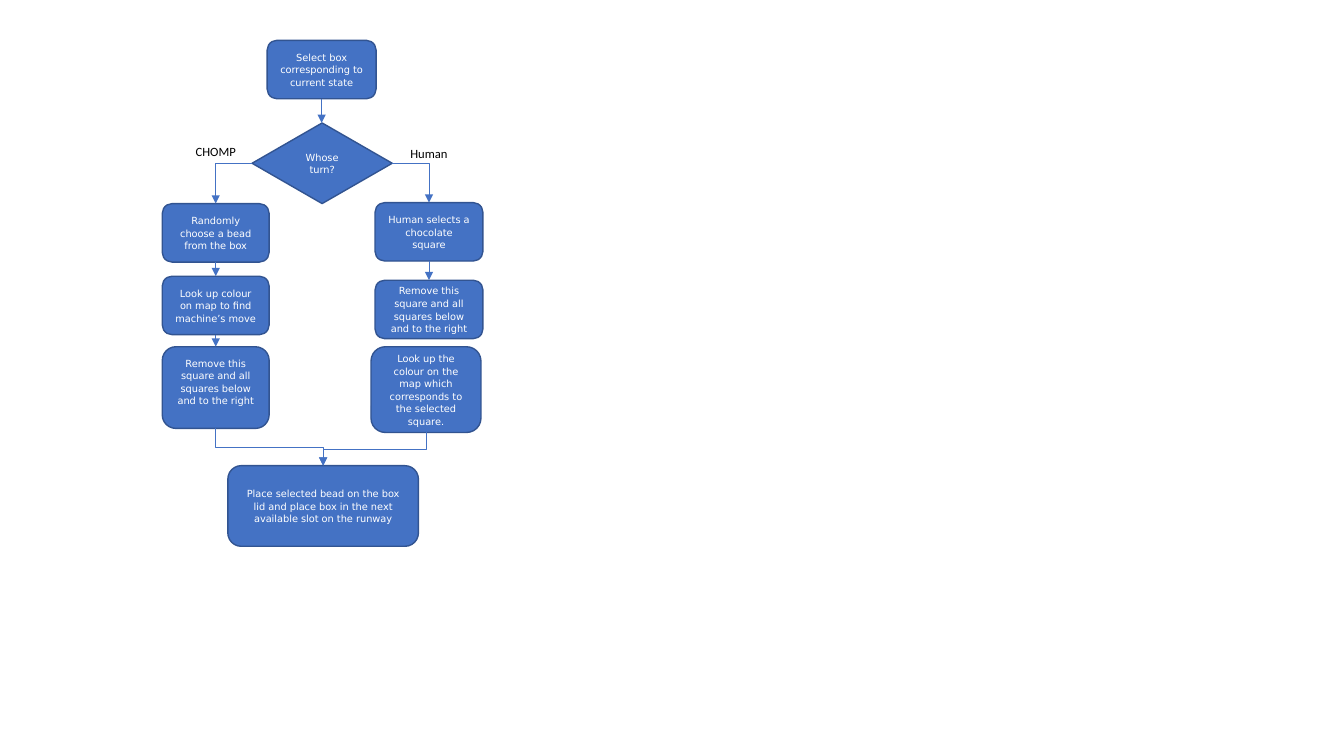
from lxml import etree
from pptx import Presentation
from pptx.dml.color import RGBColor
from pptx.enum.shapes import MSO_CONNECTOR, MSO_SHAPE
from pptx.enum.text import MSO_ANCHOR, PP_ALIGN
from pptx.oxml.ns import qn
from pptx.util import Inches, Pt

PROCESS = MSO_SHAPE.FLOWCHART_ALTERNATE_PROCESS
DECISION = MSO_SHAPE.FLOWCHART_DECISION
STRAIGHT, ELBOW = MSO_CONNECTOR.STRAIGHT, MSO_CONNECTOR.ELBOW
CENTER, MIDDLE = PP_ALIGN.CENTER, MSO_ANCHOR.MIDDLE

COLORS = {"fill": "4472C4", "border": "325491", "box_text": "FFFFFF", "label": "000000"}
BOX_FONT, LABEL_FONT = "DejaVu Sans", "Calibri"

# name: (shape, left, top, width, height, text)
STEPS = {
    "human_select": (PROCESS, 3.72, 2.01, 1.07, 0.58, "Human selects a chocolate square"),
    "choose_bead": (PROCESS, 1.61, 2.02, 1.06, 0.58, "Randomly choose a bead from the box"),
    "turn": (DECISION, 2.5, 1.22, 1.39, 0.8, "Whose turn?"),
    "select_box": (PROCESS, 2.65, 0.4, 1.08, 0.58, "Select box corresponding to current state"),
    "find_move": (PROCESS, 1.61, 2.74, 1.06, 0.58, "Look up colour on map to find machine’s move"),
    "machine_remove": (PROCESS, 1.61, 3.44, 1.06, 0.81,
                       "Remove this square and all squares below and to the right"),
    "place_bead": (PROCESS, 2.26, 4.62, 1.89, 0.8,
                   "Place selected bead on the box lid and place box in the next "
                   "available slot on the runway"),
    "human_remove": (PROCESS, 3.72, 2.78, 1.07, 0.58,
                     "Remove this square and all squares below and to the right"),
    "find_colour": (PROCESS, 3.68, 3.44, 1.09, 0.85,
                    "Look up the colour on the map which corresponds to the selected square."),
}
DOWN = [("select_box", "turn"), ("human_select", "human_remove"),
        ("choose_bead", "find_move"), ("find_move", "machine_remove")]
BRANCHES = [("turn", "human_select"), ("turn", "choose_bead")]
MERGES = [("find_colour", "place_bead"), ("machine_remove", "place_bead")]
LABELS = [("Human", 3.97, 1.4, 0.57, 0.25), ("CHOMP", 1.77, 1.38, 0.74, 0.25)]
BOTTOM_INSETS = {"machine_remove": 0.17}


def color(name):
    """Return the named colour."""
    return RGBColor.from_string(COLORS[name])


def write(tf, text, font, size, color_name):
    """Put one centred paragraph in a text frame and return it."""
    tf.text = text
    p = tf.paragraphs[0]
    p.alignment = CENTER
    f = p.runs[0].font
    f.name, f.size = font, Pt(size)
    f.color.rgb = color(color_name)
    return p


def add_step(name):
    """Draw one flowchart step."""
    kind, *box, text = STEPS[name]
    sp = s.shapes.add_shape(kind, *map(Inches, box))
    sp.shadow.inherit = False
    sp.fill.solid()
    sp.fill.fore_color.rgb = color("fill")
    sp.line.color.rgb = color("border")
    sp.line.width = Pt(1)
    tf = sp.text_frame
    tf.word_wrap = True
    tf.vertical_anchor = MIDDLE
    tf.margin_bottom = Inches(BOTTOM_INSETS.get(name, 0.05))
    p = write(tf, text, BOX_FONT, 7, "box_text")
    p.line_spacing = 1.07
    p.space_after = Pt(8)


def add_label(text, *box):
    """Write the name of a branch."""
    tf = s.shapes.add_textbox(*map(Inches, box)).text_frame
    tf.word_wrap = False
    write(tf, text, LABEL_FONT, 9, "label")


def add_arrow(kind, x1, y1, x2, y2):
    """Draw a thin connector with an arrowhead and return its properties."""
    c = s.shapes.add_connector(kind, *map(Inches, (x1, y1, x2, y2)))
    c.line.color.rgb = color("fill")
    c.line.width = Pt(0.5)
    etree.SubElement(c.line._get_or_add_ln(), qn("a:tailEnd"), type="triangle")
    sp_pr = c._element.spPr
    etree.SubElement(sp_pr, qn("a:effectLst"))
    return sp_pr


def top(name):
    """Return the top middle point of a step."""
    _, x, y, w, _, _ = STEPS[name]
    return x + w / 2, y


def bottom(name):
    """Return the bottom middle point of a step."""
    x, y = top(name)
    return x, y + STEPS[name][4]


def add_down(start, end):
    """Join two stacked steps."""
    x, y = bottom(start)
    add_arrow(STRAIGHT, x, y, x, top(end)[1])


def add_branch(start, end):
    """Leave the side of a step and turn once, down to the next."""
    _, x, y, w, h, _ = STEPS[start]
    x2, y2 = top(end)
    sp_pr = add_arrow(ELBOW, x + w if x2 > x + w else x, y + h / 2, x2, y2)
    sp_pr.find(qn("a:prstGeom")).set("prst", "bentConnector2")


def add_merge(start, end):
    """Go down, across and down: an elbow turned by 90 degrees about its centre."""
    (x1, y1), (x2, y2) = bottom(start), top(end)
    cx, cy = (x1 + x2) / 2, (y1 + y2) / 2
    half_w, half_h = (y2 - y1) / 2, (x1 - x2) / 2
    sp_pr = add_arrow(ELBOW, cx - half_w, cy - half_h, cx + half_w, cy + half_h)
    sp_pr.find(qn("a:xfrm")).set("rot", "5400000")


prs = Presentation()
prs.slide_width, prs.slide_height = Inches(13.33), Inches(7.5)
s = prs.slides.add_slide(prs.slide_layouts[6])

for step in STEPS:
    add_step(step)
for draw, links in ((add_down, DOWN), (add_branch, BRANCHES), (add_merge, MERGES)):
    for link in links:
        draw(*link)
for label in LABELS:
    add_label(*label)

prs.save("out.pptx")
